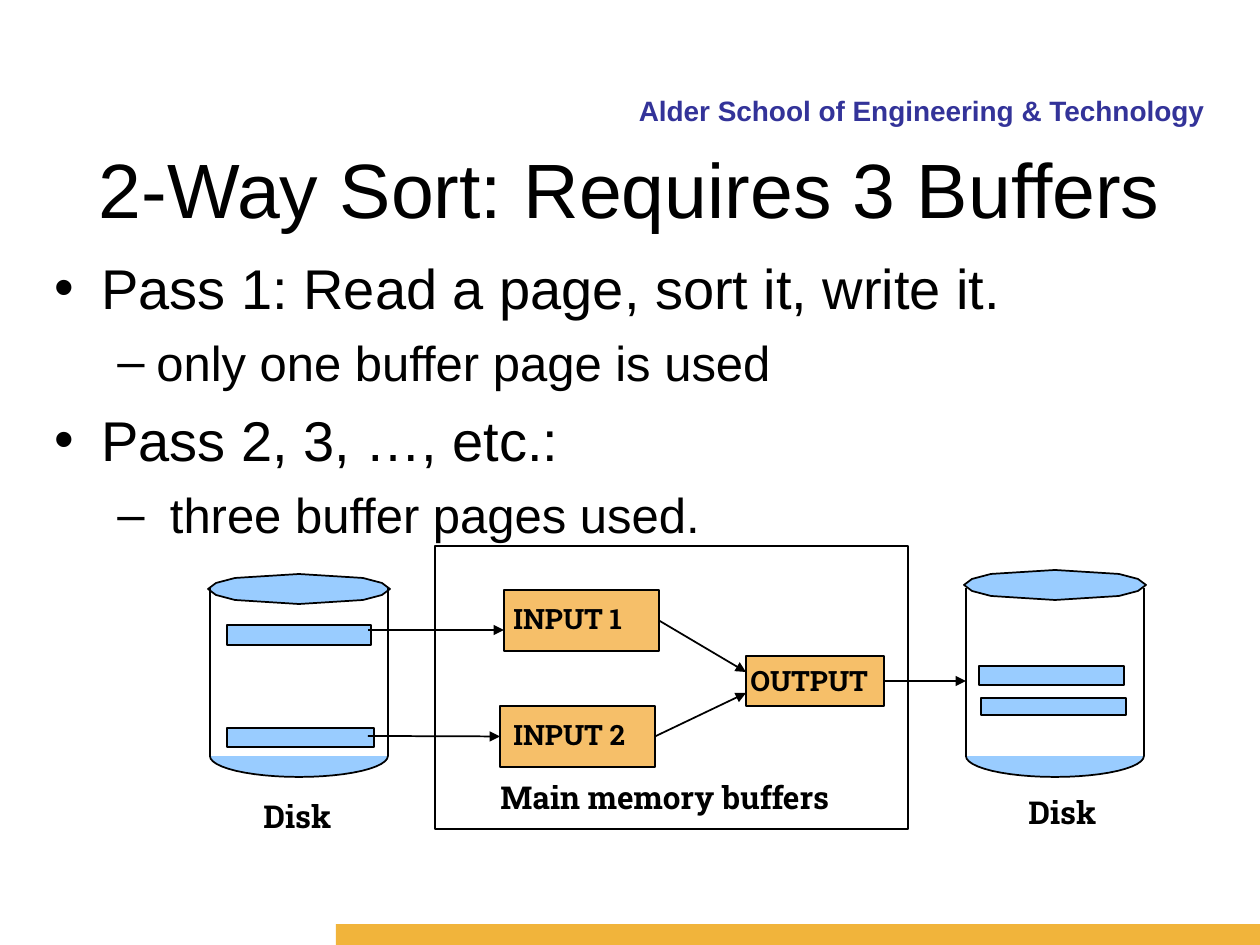
from dataclasses import dataclass
from math import cos, pi, sin

from lxml.etree import SubElement
from pptx import Presentation
from pptx.dml.color import RGBColor as RGB
from pptx.enum.shapes import MSO_CONNECTOR as CONNECTOR, MSO_SHAPE as SHAPE
from pptx.enum.text import PP_ALIGN as ALIGN
from pptx.oxml.ns import qn
from pptx.util import Pt

PX = 914400 / 126  # EMU in one px


@dataclass(frozen=True)
class Theme:
    ink = RGB(0, 0, 0)
    school = RGB(0x33, 0x33, 0x99)
    footer = RGB(0xF1, 0xB4, 0x3B)
    disk = RGB(0x99, 0xCC, 0xFF)
    buffer = RGB(0xF6, 0xBF, 0x69)
    sans = "Arial"
    slab = "Roboto Slab"
    title = 44
    bullets = (32, 28)
    caption = 18
    label = 16
    line = 1


theme = Theme()
prs = Presentation()
prs.slide_width, prs.slide_height = round(1260 * PX), round(945 * PX)
slide = prs.slides.add_slide(prs.slide_layouts[6])
shapes = slide.shapes


def add_text(box, text, size, font=theme.slab, color=theme.ink, bold=True,
             align=ALIGN.LEFT, wrap=True):
    """Add a text box at box (px); each line of text becomes a paragraph."""
    frame = shapes.add_textbox(*(round(v * PX) for v in box)).text_frame
    frame.word_wrap = wrap
    frame.text = text
    for paragraph in frame.paragraphs:
        paragraph.alignment = align
        for run in paragraph.runs:
            run.font.size, run.font.name = Pt(size), font
            run.font.bold, run.font.color.rgb = bold, color
    return frame


def paint(shape, fill=None, outlined=True):
    shape.shadow.inherit = False
    if fill is None:
        shape.fill.background()
    else:
        shape.fill.solid()
        shape.fill.fore_color.rgb = fill
    if outlined:
        shape.line.color.rgb = theme.ink
        shape.line.width = Pt(theme.line)
    else:
        shape.line.fill.background()
    return shape


# Header, footer bar and title
add_text((514, 87, 703, 42), "Alder School of Engineering & Technology",
         theme.label, theme.sans, theme.school, align=ALIGN.RIGHT)
footer_box = [round(v * PX) for v in (336, 924, 924, 21)]
paint(shapes.add_shape(SHAPE.RECTANGLE, *footer_box), theme.footer, outlined=False)
add_text((63, 135, 1134, 148), "2-Way Sort: Requires 3 Buffers",
         theme.title, theme.sans, bold=False, align=ALIGN.CENTER)

# Bulleted passes: level, text
passes = [
    (0, "Pass 1: Read a page, sort it, write it."),
    (1, "only one buffer page is used"),
    (0, "Pass 2, 3, …, etc.:"),
    (1, " three buffer pages used."),
]
bullet_styles = [("•", 47, 47, 8), ("–", 102, 39, 7)]  # mark, margin, hanging, space
pass_list = add_text((42, 247, 1207, 646), "\n".join(text for _, text in passes),
                     theme.bullets[0], theme.sans, bold=False, align=ALIGN.JUSTIFY)
for index, (paragraph, (level, _)) in enumerate(zip(pass_list.paragraphs, passes)):
    mark, margin, hanging, space = bullet_styles[level]
    paragraph.level = level
    paragraph.space_before = Pt(space if index else 0)
    paragraph.runs[0].font.size = Pt(theme.bullets[level])
    properties = paragraph._p.get_or_add_pPr()
    properties.set("marL", str(round(margin * PX)))
    properties.set("indent", str(round(-hanging * PX)))
    SubElement(properties, qn("a:buFont"), typeface=theme.sans)
    SubElement(properties, qn("a:buChar"), char=mark)

# Disks: lid centre, left wall, caption left and top
lid_steps = [(91, 0), (83, 6), (64, 11), (0, 15), (-64, 11), (-83, 6), (-91, 0),
             (-83, -6), (-64, -11), (0, -15), (64, -11), (83, -6)]
WALL_TOP, WALL_BOTTOM, HALF_WIDTH, BASE_DEPTH = 588, 756, 89, 21
links = []  # start, end, arrow, (start shape, site), (end shape, site)
for lid_x, lid_y, wall, caption_x, caption_y in [(299, 589, 210, 251, 791),
                                                (1055, 585, 966, 1016, 787)]:
    lid = [(lid_x + dx, lid_y - dy) for dx, dy in lid_steps]
    base = [(wall + HALF_WIDTH * (1 - cos(pi * i / 24)),
             WALL_BOTTOM + BASE_DEPTH * sin(pi * i / 24)) for i in range(25)]
    for points, closed in [(lid, True), (base, False)]:
        (x, y), *rest = [(round(x * PX), round(y * PX)) for x, y in points]
        builder = shapes.build_freeform(x, y)
        builder.add_line_segments(rest, close=closed)
        paint(builder.convert_to_shape(), theme.disk)
    for x in (wall, wall + 2 * HALF_WIDTH):
        links.append(((x, WALL_TOP), (x, WALL_BOTTOM), False, None, None))
    add_text((caption_x, caption_y, 98, 50), "Disk", theme.caption, wrap=False)

# Disk pages, memory frame and buffers
blocks = {
    "memory": (435, 546, 473, 283, None),
    "page 1": (227, 625, 144, 20, theme.disk),
    "page 2": (227, 728, 147, 19, theme.disk),
    "result 1": (979, 666, 145, 19, theme.disk),
    "result 2": (981, 698, 145, 17, theme.disk),
    "input 1": (504, 590, 155, 61, theme.buffer),
    "input 2": (500, 706, 155, 61, theme.buffer),
    "output": (746, 656, 138, 50, theme.buffer),
}
placed = {}
for part, (*box, fill) in blocks.items():
    rectangle = shapes.add_shape(SHAPE.RECTANGLE, *(round(v * PX) for v in box))
    placed[part] = paint(rectangle, fill)

for text, x, y, width in [("INPUT 1", 501, 595, 144), ("INPUT 2", 501, 711, 144),
                          ("OUTPUT", 738, 657, 146)]:
    add_text((x, y, width, 45), text, theme.label, wrap=False)
add_text((488, 772, 374, 88), "Main memory buffers", theme.caption)

# Disk walls and data flow
LEFT, RIGHT = 1, 3
input_1, input_2, output = (placed[part] for part in ("input 1", "input 2", "output"))
links += [
    ((368, 630), (504, 630), True, None, None),
    ((368, 736), (500, 736), True, None, (input_2, LEFT)),
    ((659, 620), (746, 672), True, (input_1, RIGHT), None),
    ((655, 736), (746, 693), True, (input_2, RIGHT), None),
    ((884, 681), (966, 681), True, (output, RIGHT), None),
]
for start, end, arrow, source, target in links:
    link = shapes.add_connector(CONNECTOR.STRAIGHT,
                                *(round(v * PX) for v in start + end))
    if source:
        link.begin_connect(*source)
    if target:
        link.end_connect(*target)
    link.line.color.rgb = theme.ink
    link.line.width = Pt(theme.line)
    link_properties = link._element.spPr
    if arrow:
        SubElement(link_properties.find(qn("a:ln")), qn("a:tailEnd"), type="triangle")
    SubElement(link_properties, qn("a:effectLst"))

prs.save("out.pptx")
